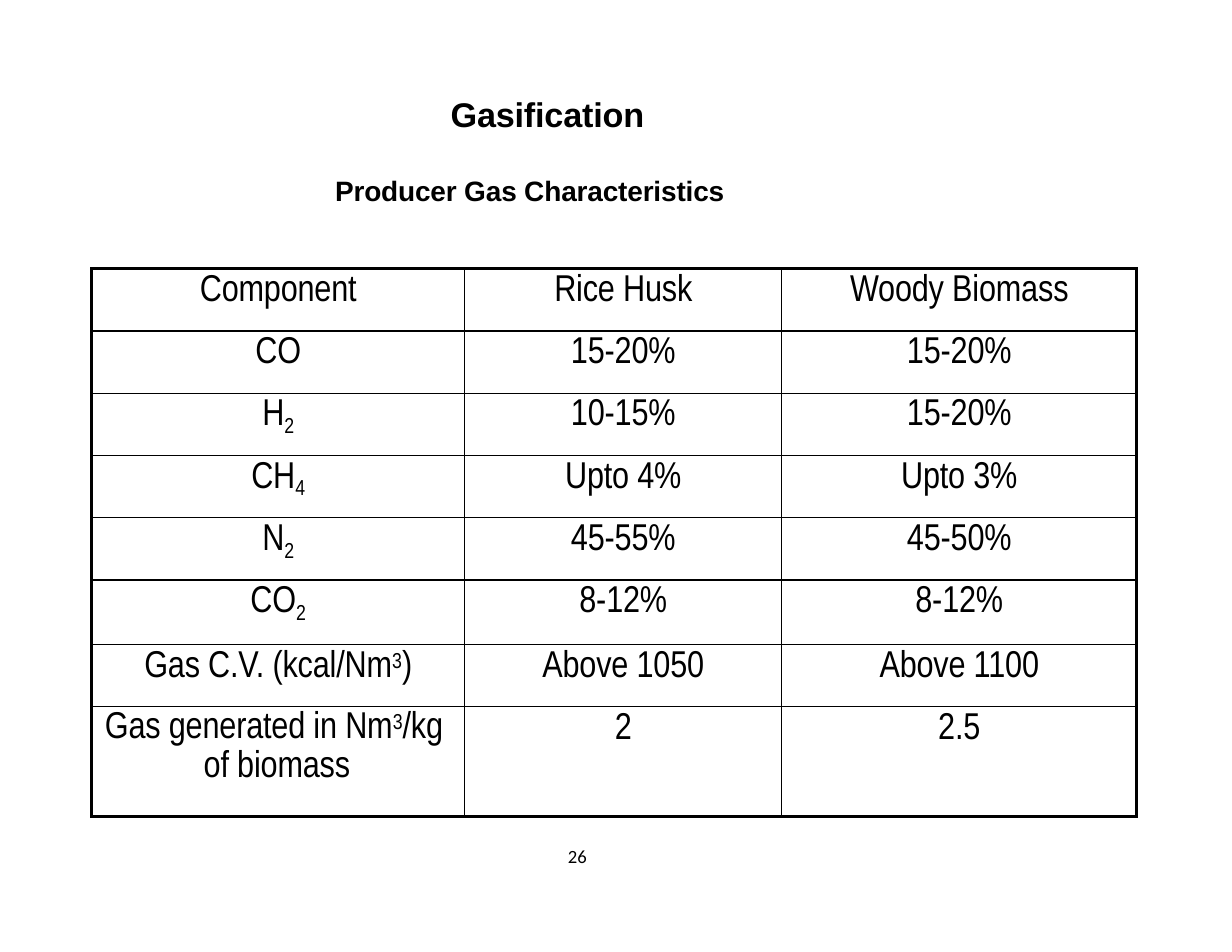
from lxml import etree
from pptx import Presentation
from pptx import util as u
from pptx.dml.color import RGBColor
from pptx.enum import text
from pptx.oxml import ns

BLACK = RGBColor(0, 0, 0)
SUBSCRIPT, SUPERSCRIPT = -21000, 24000
THIN, THICK = u.Pt(1), u.Pt(2.25)
COLUMN_WIDTHS = (8.46, 7.19, 8.05)
ROW_HEIGHTS = (1.41,) * 5 + (1.47, 1.41, 2.49)
ROWS = (
    ("Component", "Rice Husk", "Woody Biomass"),
    ("CO", "15-20%", "15-20%"),
    ("H_2", "10-15%", "15-20%"),
    ("CH_4", "Upto 4%", "Upto 3%"),
    ("N_2", "45-55%", "45-50%"),
    ("CO_2", "8-12%", "8-12%"),
    ("Gas C.V. (kcal/Nm^3)", "Above 1050", "Above 1100"),
    ("Gas generated in Nm^3/kg of biomass", "2", "2.5"),
)


def split_spans(content):
    """Return (text, baseline) pairs; _ lowers and ^ raises the next character."""
    for mark, baseline in (("_", SUBSCRIPT), ("^", SUPERSCRIPT)):
        before, found, after = content.partition(mark)
        if found:
            pairs = (before, 0), (after[0], baseline), (after[1:], 0)
            return [pair for pair in pairs if pair[0]]
    return [(content, 0)]


def write(para, content, font="Arial Narrow", size=24, bold=False, tracking=-10,
          align=text.PP_ALIGN.LEFT, before=0, leading=None, margin=0, indent=0):
    """Fill a paragraph with formatted text."""
    para.alignment = align
    para.space_before = u.Pt(before)
    if leading:
        para.line_spacing = leading
    properties = para._p.get_or_add_pPr()
    properties.set("marL", str(u.Cm(margin)))
    properties.set("indent", str(u.Cm(indent)))
    for piece, baseline in split_spans(content):
        span = para.add_run()
        span.text = piece
        span.font.name, span.font.size, span.font.bold = font, u.Pt(size), bold
        span.font.color.rgb = BLACK
        attributes = span._r.get_or_add_rPr()
        attributes.set("spc", str(tracking))
        if baseline:
            attributes.set("baseline", str(baseline))


def fill_frame(shape, box, content, top_inset=0.03, **style):
    """Place a text shape in its box and write one paragraph in it."""
    shape.left, shape.top, shape.width, shape.height = (u.Cm(side) for side in box)
    frame = shape.text_frame
    frame.margin_left = frame.margin_right = frame.margin_bottom = 0
    frame.margin_top = u.Cm(top_inset)
    frame.word_wrap = True
    frame.auto_size = text.MSO_AUTO_SIZE.SHAPE_TO_FIT_TEXT
    frame.vertical_anchor = text.MSO_ANCHOR.TOP
    write(frame.paragraphs[0], content, **style)


def add_headings(page, title_box, subtitle_box):
    """Place the title and the subtitle."""
    fill_frame(page.shapes.title, title_box, "Gasification", font="Arial",
               size=22, bold=True, before=0.9, margin=0.03)
    subtitle = page.shapes.add_textbox(0, 0, 0, 0)
    fill_frame(subtitle, subtitle_box, "Producer Gas Characteristics", font="Arial",
               size=18, bold=True, before=1, margin=0.03)


def add_page_number(page, box):
    """Place the page number."""
    number = page.shapes.add_textbox(0, 0, 0, 0)
    fill_frame(number, box, "26", top_inset=0, font="Calibri", size=12,
               tracking=0, leading=u.Pt(12.4), margin=0.08)


def draw_borders(cell, widths):
    """Draw the left, right, top and bottom borders of a cell."""
    properties = cell._tc.get_or_add_tcPr()
    for side, width in zip("LRTB", widths):
        line = etree.SubElement(properties, ns.qn(f"a:ln{side}"), w=str(width))
        fill = etree.SubElement(line, ns.qn("a:solidFill"))
        etree.SubElement(fill, ns.qn("a:srgbClr"), val=str(BLACK))


def add_gas_table(page, box):
    """Place the table of gas characteristics."""
    table = page.shapes.add_table(len(ROWS), len(COLUMN_WIDTHS),
                                  *(u.Cm(side) for side in box)).table
    table.first_row = table.horz_banding = False
    for column, width in zip(table.columns, COLUMN_WIDTHS):
        column.width = u.Cm(width)
    last_row, last_column = len(ROWS) - 1, len(COLUMN_WIDTHS) - 1
    for r, values in enumerate(ROWS):
        table.rows[r].height = u.Cm(ROW_HEIGHTS[r])
        for c, value in enumerate(values):
            cell = table.cell(r, c)
            outer = (c == 0, c == last_column, r == 0, r == last_row)
            draw_borders(cell, [THICK if edge else THIN for edge in outer])
            cell.fill.background()
            cell.margin_left = cell.margin_right = cell.margin_bottom = 0
            para = cell.text_frame.paragraphs[0]
            if (r, c) == (last_row, 0):
                cell.margin_top = u.Cm(0.03)
                write(para, value, before=0.5, leading=1.1, margin=2.54, indent=-2.24)
            else:
                cell.margin_top = u.Cm(0.12)
                write(para, value, before=3.4, align=text.PP_ALIGN.CENTER)


def main():
    """Build and save the deck."""
    deck = Presentation()
    deck.slide_width, deck.slide_height = u.Cm(27.94), u.Cm(21.59)
    page = deck.slides.add_slide(deck.slide_layouts[5])
    add_headings(page, (10.19, 2.08, 4.52, 0.99), (7.57, 3.91, 8.99, 0.84))
    add_gas_table(page, (2.08, 6.1, sum(COLUMN_WIDTHS), sum(ROW_HEIGHTS)))
    add_page_number(page, (12.8, 19.23, 0.58, 0.48))
    deck.save("out.pptx")


if __name__ == "__main__":
    main()
